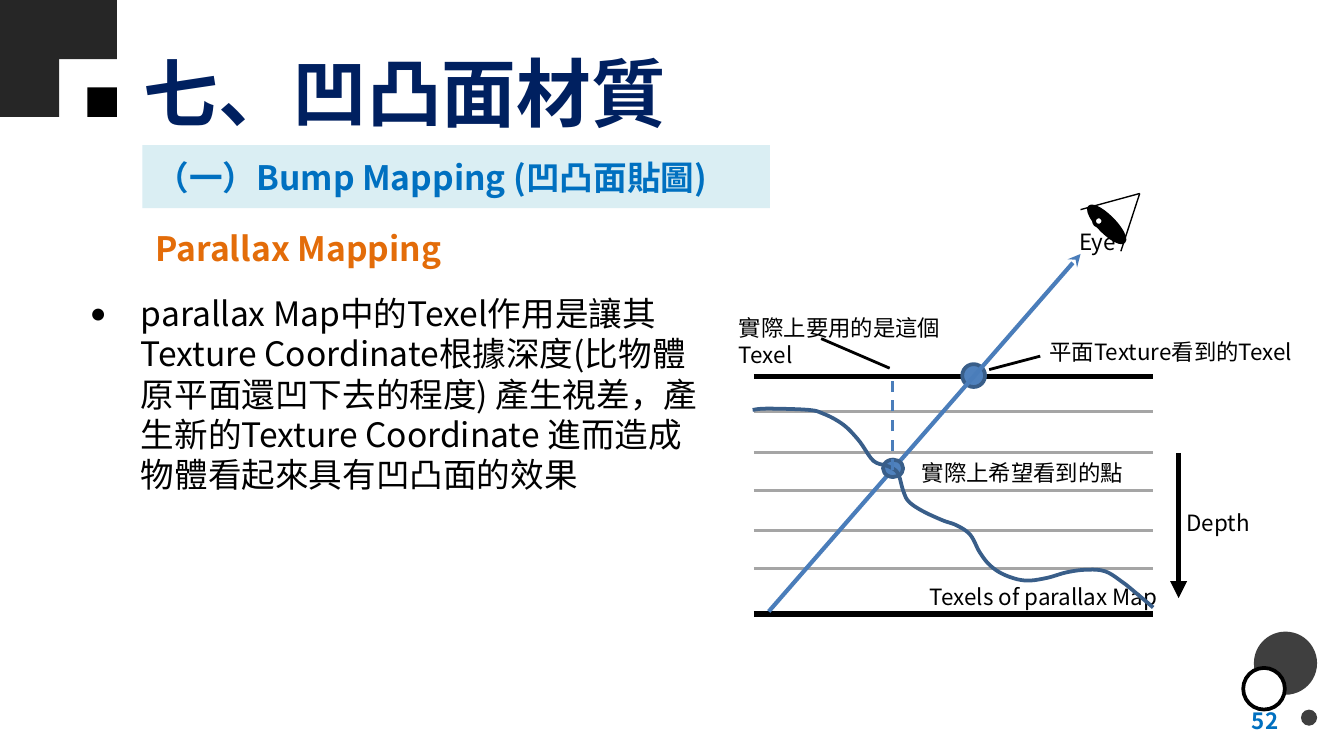
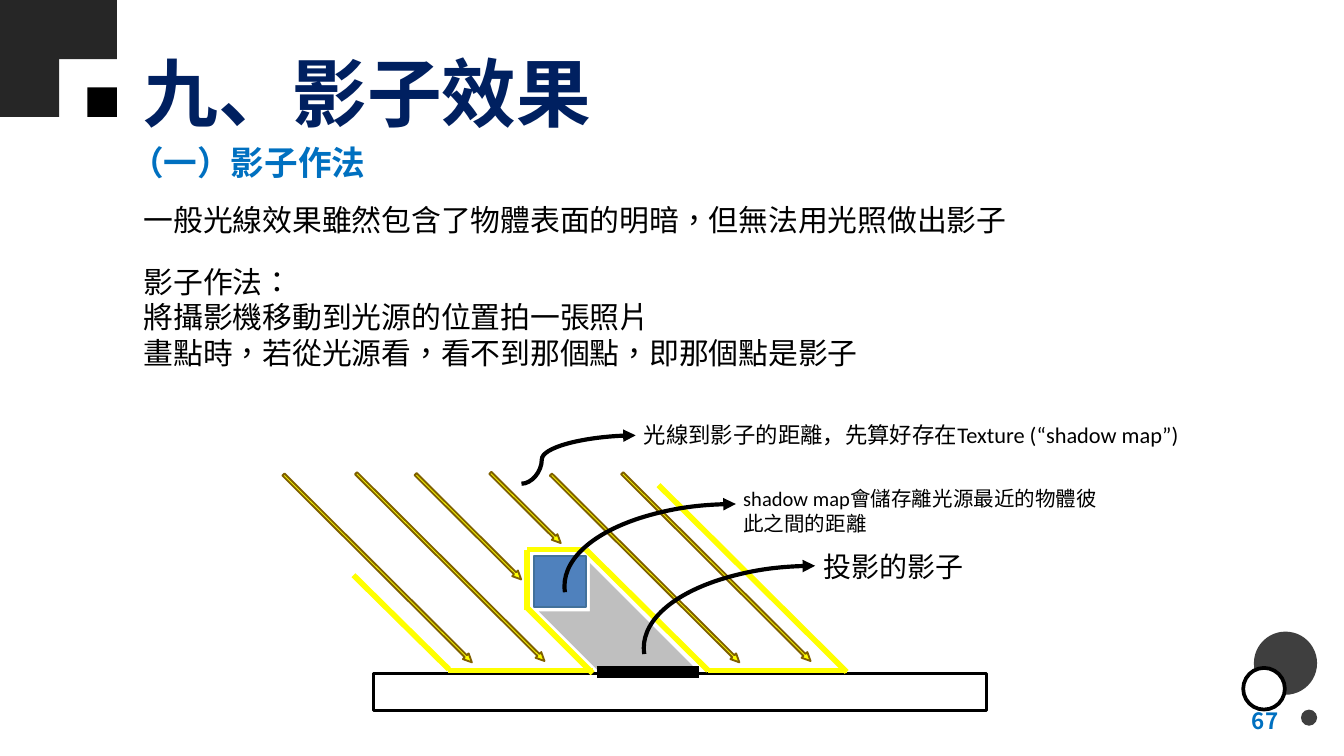
import dataclasses
import typing

import lxml.etree
import pptx
import pptx.dml.color
import pptx.enum.dml
import pptx.enum.shapes
import pptx.enum.text
import pptx.oxml.ns
import pptx.slide
import pptx.util

Inches = pptx.util.Inches
Kind = pptx.enum.shapes.MSO_SHAPE
Align = pptx.enum.text.PP_ALIGN
Anchor = pptx.enum.text.MSO_ANCHOR
qn = pptx.oxml.ns.qn
Point = tuple[float, float]

# Shared fonts and colours
MAIN_FONT, PLAIN_FONT, LABEL_FONT = "Noto Sans CJK TC", "Noto Sans CJK SC", "Calibri"
BLACK, WHITE, CORNER, DOT, NAVY = "000000", "FFFFFF", "262626", "3F3F3F", "002060"
HEADING, ACCENT, BAND = "0070C0", "E36C09", "DAEEF3"
BLUE, DARK_BLUE, RAY_BLUE, GREY = "4F81BD", "395E89", "4A7DBA", "A5A5A5"
YELLOW, OLIVE, BOX_EDGE = "FFFF00", "7F6000", "42719B"


@dataclasses.dataclass
class Text:
    left: float
    top: float
    width: float
    height: float
    lines: tuple[str, ...]
    size: float = 12
    color: str = BLACK
    bold: bool = False
    font: str = MAIN_FONT
    middle: bool = False
    right: bool = False
    bullet: bool = False
    inset: Point = (0.1, 0.05)
    band: str | None = None
    language: str | None = None


@dataclasses.dataclass
class Shape:
    kind: Kind
    left: float
    top: float
    width: float
    height: float
    fill: str | None = None
    line: str | None = None
    weight: float = 2
    rotation: float = 0
    adjustments: tuple[float, ...] = ()


@dataclasses.dataclass
class Line:
    start: Point
    end: Point
    color: str = BLACK
    weight: float = 1.5
    tail: str | None = None
    dashed: bool = False
    bend: int | None = None


def rgb(color: str) -> pptx.dml.color.RGBColor:
    return pptx.dml.color.RGBColor.from_string(color)


def add_xml(parent: typing.Any, tag: str, **values: str) -> typing.Any:
    return lxml.etree.SubElement(parent, qn(tag), values)


def paint(shape: typing.Any, fill: str | None, line: str | None, weight: float) -> None:
    shape.shadow.inherit = False
    if fill:
        shape.fill.solid()
        shape.fill.fore_color.rgb = rgb(fill)
    else:
        shape.fill.background()
    if line:
        shape.line.color.rgb = rgb(line)
        shape.line.width = pptx.util.Pt(weight)
    else:
        shape.line.fill.background()


def draw_text(slide: pptx.slide.Slide, text: Text) -> None:
    place = [Inches(value) for value in (text.left, text.top, text.width, text.height)]
    if text.band:
        box = slide.shapes.add_shape(Kind.RECTANGLE, *place)
        paint(box, text.band, None, 0)
    else:
        box = slide.shapes.add_textbox(*place)
    frame = box.text_frame
    side, edge = Inches(text.inset[0]), Inches(text.inset[1])
    frame_format = {
        "word_wrap": True,
        "vertical_anchor": Anchor.MIDDLE if text.middle else Anchor.TOP,
        "margin_left": side, "margin_right": side,
        "margin_top": edge, "margin_bottom": edge,
    }
    for name, value in frame_format.items():
        setattr(frame, name, value)
    for index, line in enumerate(text.lines):
        paragraph = frame.add_paragraph() if index else frame.paragraphs[0]
        paragraph.alignment = Align.RIGHT if text.right else Align.LEFT
        if text.bullet:
            properties = paragraph._p.get_or_add_pPr()
            indent = {"marL": Inches(0.5), "indent": Inches(-0.38), "hangingPunct": 0}
            for name, value in indent.items():
                properties.set(name, str(int(value)))
            add_xml(add_xml(properties, "a:buClr"), "a:srgbClr", val=BLACK)
            add_xml(properties, "a:buFont", typeface=LABEL_FONT)
            add_xml(properties, "a:buChar", char="•")
        run = paragraph.add_run()
        run.text = line
        font_format = {"name": text.font, "size": pptx.util.Pt(text.size), "bold": text.bold}
        for name, value in font_format.items():
            setattr(run.font, name, value)
        run.font.color.rgb = rgb(text.color)
        run_properties = run._r.get_or_add_rPr()
        add_xml(run_properties, "a:ea", typeface=text.font)
        if text.language:
            run_properties.set("lang", text.language)


def draw_shape(slide: pptx.slide.Slide, item: Shape) -> typing.Any:
    shape = slide.shapes.add_shape(
        item.kind, Inches(item.left), Inches(item.top), Inches(item.width), Inches(item.height))
    shape.rotation = item.rotation
    for index, value in enumerate(item.adjustments):
        shape.adjustments[index] = value
    paint(shape, item.fill, item.line, item.weight)
    return shape


def draw_line(slide: pptx.slide.Slide, line: Line) -> None:
    connector_type = pptx.enum.shapes.MSO_CONNECTOR
    connector = slide.shapes.add_connector(
        connector_type.STRAIGHT if line.bend is None else connector_type.CURVE,
        *(Inches(value) for value in line.start + line.end))
    connector.line.color.rgb = rgb(line.color)
    connector.line.width = pptx.util.Pt(line.weight)
    if line.dashed:
        connector.line.dash_style = pptx.enum.dml.MSO_LINE.DASH
    properties = connector._element.spPr
    if line.tail:
        add_xml(properties.find(qn("a:ln")), "a:tailEnd", type=line.tail)
    if line.bend is not None:
        guides = properties.find(qn("a:prstGeom")).find(qn("a:avLst"))
        add_xml(guides, "a:gd", name="adj1", fmla=f"val {line.bend}")
    add_xml(properties, "a:effectLst")


def draw_outline(slide: pptx.slide.Slide, points: list[Point], close: bool) -> typing.Any:
    corners = [(Inches(x), Inches(y)) for x, y in points]
    builder = slide.shapes.build_freeform(*corners[0])
    builder.add_line_segments(corners[1:], close=close)
    return builder.convert_to_shape()


def smooth(points: list[Point], steps: int = 5) -> list[Point]:
    """Samples a Catmull-Rom curve through the points."""
    padded = [points[0], *points, points[-1]]
    curve = [points[0]]
    for a, b, c, d in zip(padded, padded[1:], padded[2:], padded[3:]):
        for step in range(1, steps + 1):
            t = step / steps
            curve.append(tuple(
                q + t * (r - p) / 2 + t * t * (2 * p - 5 * q + 4 * r - s) / 2
                + t ** 3 * (3 * q - p - 3 * r + s) / 2
                for p, q, r, s in zip(a, b, c, d)))
    return curve


def draw_all(slide: pptx.slide.Slide, items: typing.Iterable[Text | Shape | Line]) -> None:
    painters = {Text: draw_text, Shape: draw_shape, Line: draw_line}
    for item in items:
        painters[type(item)](slide, item)


def add_slide(presentation: typing.Any, title: str, number: int) -> pptx.slide.Slide:
    slide = presentation.slides.add_slide(presentation.slide_layouts[6])
    step, tile = 0.43, 0.44  # tiles overlap a little so that no seam shows
    corner_tiles = [Shape(Kind.RECTANGLE, column * step, row * step, tile, tile, CORNER)
                    for column, row in ((0, 0), (1, 0), (0, 1))]
    draw_all(slide, corner_tiles + [
        Shape(Kind.RECTANGLE, 0.65, 0.65, 0.22, 0.22, BLACK),
        Shape(Kind.OVAL, 9.33, 4.7, 0.47, 0.47, DOT),
        Shape(Kind.OVAL, 9.68, 5.28, 0.12, 0.12, DOT),
        Shape(Kind.OVAL, 9.25, 4.97, 0.31, 0.31, WHITE, BLACK),
        Text(7.28, 5.21, 2.33, 0.3, (str(number),), 12, HEADING, True, middle=True, right=True),
        Text(0.97, 0.21, 9.03, 0.94, (title,), 40, NAVY, True, middle=True),
    ])
    return slide


def build_parallax_slide(presentation: typing.Any) -> None:
    slide = add_slide(presentation, "七、凹凸面材質", 52)

    # Depth levels between the flat surface and the deepest plane
    left, right = 5.61, 8.58
    for level in (3.06, 3.37, 3.65, 3.95, 4.23):
        draw_line(slide, Line((left, level), (right, level), GREY))
    for level in (2.8, 4.57):
        draw_line(slide, Line((left, level), (right, level), weight=3))

    # View ray, eye and labels
    draw_all(slide, [
        Line((8.77, 3.37), (8.77, 4.45), weight=3, tail="triangle"),
        Text(8.73, 3.74, 0.87, 0.27, ("Depth",)),
        Text(6.82, 4.29, 2, 0.27, ("Texels of parallax Map",)),
        Shape(Kind.OVAL, 7.16, 2.71, 0.17, 0.17, BLUE, DARK_BLUE),
        Line((7.36, 2.75), (7.74, 2.65)),
        Line((5.72, 4.55), (8.04, 1.89), RAY_BLUE, 2.25, "stealth"),
        Shape(Kind.OVAL, 6.57, 3.42, 0.15, 0.13, BLUE, DARK_BLUE),
        Text(7.93, 1.65, 1.15, 0.27, ("Eye",)),
        Shape(Kind.OVAL, 8.18, 1.49, 0.11, 0.36, BLACK, BLACK, rotation=315.4),
        Line((8.04, 1.56), (8.48, 1.44), weight=0.75),
        Line((8.34, 1.87), (8.48, 1.44), weight=0.75),
        Shape(Kind.OVAL, 8.14, 1.61, 0.07, 0.07, WHITE, BLACK, rotation=315.4),
        Text(7.71, 2.47, 2.32, 0.27, ("平面Texture看到的Texel",)),
        Line((6.62, 2.74), (6.11, 2.52)),
        Text(5.4, 2.29, 1.96, 0.27, ("實際上要用的是這個Texel",)),
    ])

    # Bumpy surface
    surface = [
        (5.6, 3.05), (5.71, 3.04), (6.02, 3.05), (6.13, 3.08), (6.23, 3.13), (6.31, 3.19),
        (6.4, 3.29), (6.5, 3.43), (6.61, 3.47), (6.68, 3.52), (6.72, 3.65), (6.76, 3.73),
        (6.86, 3.8), (7.01, 3.87), (7.12, 3.91), (7.22, 3.98), (7.29, 4.11), (7.37, 4.21),
        (7.48, 4.28), (7.63, 4.32), (7.79, 4.3), (7.93, 4.26), (8.07, 4.24), (8.22, 4.25),
        (8.35, 4.33), (8.45, 4.41), (8.58, 4.52),
    ]
    paint(draw_outline(slide, smooth(surface), close=False), None, DARK_BLUE, 2)

    # Headings and explanation
    draw_all(slide, [
        Line((6.64, 3.5), (6.64, 2.79), RAY_BLUE, dashed=True),
        Text(0.45, 2.13, 4.93, 2.38, (
            "parallax Map中的Texel作用是讓其Texture Coordinate根據深度(比物體原平面還凹下去的程度) "
            "產生視差，產生新的Texture Coordinate 進而造成物體看起來具有凹凸面的效果",),
            18, bullet=True),
        Text(6.76, 3.37, 1.96, 0.27, ("實際上希望看到的點",)),
        Text(1.06, 1.08, 4.67, 0.47, ("（一）Bump Mapping (凹凸面貼圖)",),
             18, HEADING, True, middle=True, band=BAND),
        Text(1.06, 1.61, 6.38, 0.47, ("Parallax Mapping",), 18, ACCENT, True, middle=True),
    ])


def build_shadow_slide(presentation: typing.Any) -> None:
    slide = add_slide(presentation, "九、影子效果", 67)

    # Explanation and ground
    draw_all(slide, [
        Text(0.87, 0.97, 3.55, 0.47, ("（一）影子作法",), 18, HEADING, True, middle=True),
        Text(0.97, 1.45, 6.71, 0.37, ("一般光線效果雖然包含了物體表面的明暗，但無法用光照做出影子",),
             16, font=PLAIN_FONT, language="zh-TW"),
        Text(0.97, 1.91, 5.59, 1.18, (
            "影子作法：", "將攝影機移動到光源的位置拍一張照片",
            "畫點時，若從光源看，看不到那個點，即那個點是影子"),
            16, font=PLAIN_FONT, language="zh-TW"),
        Shape(Kind.RECTANGLE, 2.78, 5.01, 4.56, 0.28, None, BLACK, 1.5),
    ])

    # Lit outline
    lit_edges = [
        ((2.63, 4.28), (3.34, 4.98)), ((3.33, 4.99), (4.41, 4.99)),
        ((3.92, 4.52), (4.41, 5.01)), ((3.92, 4.54), (3.92, 4.09)),
        ((4.36, 4.09), (3.92, 4.09)), ((4.36, 4.09), (5.27, 4.99)),
        ((5.27, 4.99), (6.3, 4.99)), ((4.9, 3.61), (6.3, 5)),
    ]
    draw_all(slide, [Line(start, end, YELLOW, 3) for start, end in lit_edges])

    # Blocking object and its shadow
    draw_shape(slide, Shape(Kind.RECTANGLE, 3.97, 4.14, 0.39, 0.38, BLUE, BOX_EDGE, 1))
    shadow = draw_outline(
        slide, [(4.01, 4.55), (4.39, 4.55), (4.39, 4.19), (5.2, 5), (4.45, 4.99)], close=True)
    paint(shadow, BLACK, None, 0)
    shadow_color = shadow._element.spPr.find(qn("a:solidFill")).find(qn("a:srgbClr"))
    add_xml(shadow_color, "a:alpha", val="25000")
    draw_line(slide, Line((4.44, 5), (5.2, 5), weight=6))

    # Light rays
    rays = [(3.81, 4.2, 1.98), (1.82, 4.2, 1.98), (2.36, 4.19, 1.98),
            (2.93, 3.89, 1.11), (3.54, 3.75, 0.74), (4.34, 4.19, 1.98)]
    for left, top, length in rays:
        draw_shape(slide, Shape(Kind.RIGHT_ARROW, left, top, length, 0.06, YELLOW, OLIVE, 1,
                                44.9, (0.36, 1.07)))

    # Callouts
    draw_line(slide, Line((3.88, 3.6), (4.73, 3.24), weight=2.25, tail="triangle", bend=17800))
    for left, top in ((4.79, 4.21), (4.2, 3.75)):
        arc = draw_shape(slide, Shape(Kind.ARC, left, top, 2.55, 1.22, None, BLACK, 2.25,
                                      adjustments=(162, 1.26)))
        properties = arc._element.spPr
        properties.find(qn("a:xfrm")).set("flipH", "1")
        add_xml(properties.find(qn("a:ln")), "a:headEnd", type="triangle")
    callouts = [
        (4.72, 3.09, 4.61, 0.5, "光線到影子的距離，先算好存在Texture (“shadow map”)", 12),
        (6.06, 4.05, 2.89, 0.33, "投影的影子", 15),
        (5.46, 3.58, 2.89, 0.43, "shadow map會儲存離光源最近的物體彼此之間的距離", 11),
    ]
    for left, top, width, height, words, size in callouts:
        draw_text(slide, Text(left, top, width, height, (words,), size, font=LABEL_FONT,
                              inset=(0.07, 0.04), language="zh-CN"))


def main() -> None:
    presentation = pptx.Presentation()
    presentation.slide_width = Inches(10)
    presentation.slide_height = presentation.slide_width * 9 // 16
    build_parallax_slide(presentation)
    build_shadow_slide(presentation)
    presentation.save("out.pptx")


if __name__ == "__main__":
    main()
